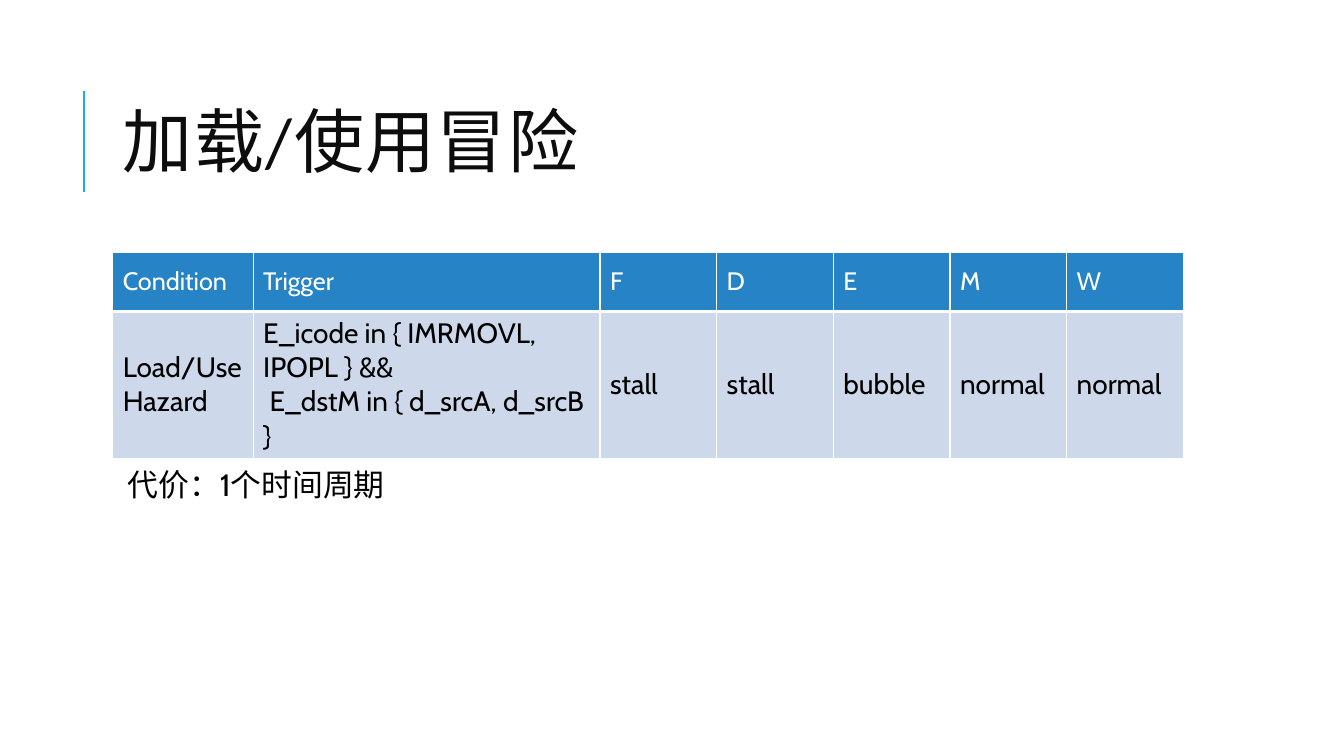
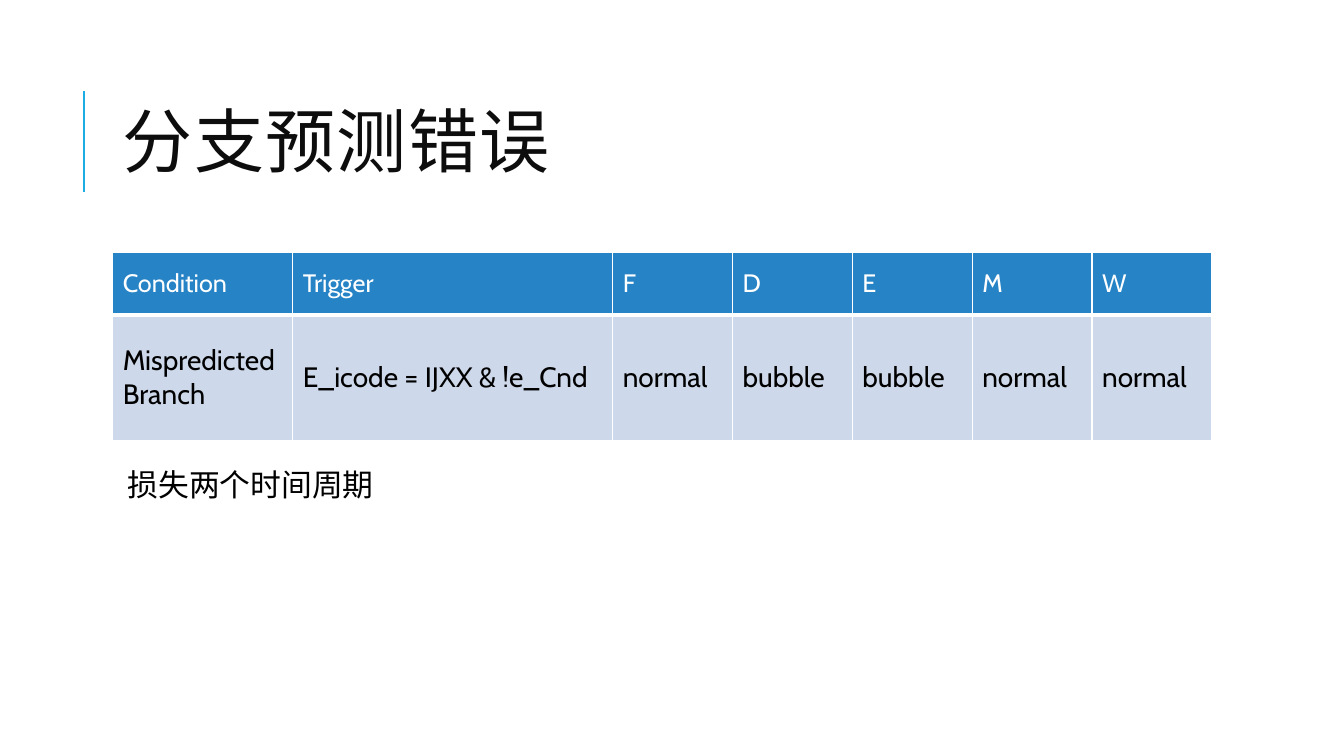
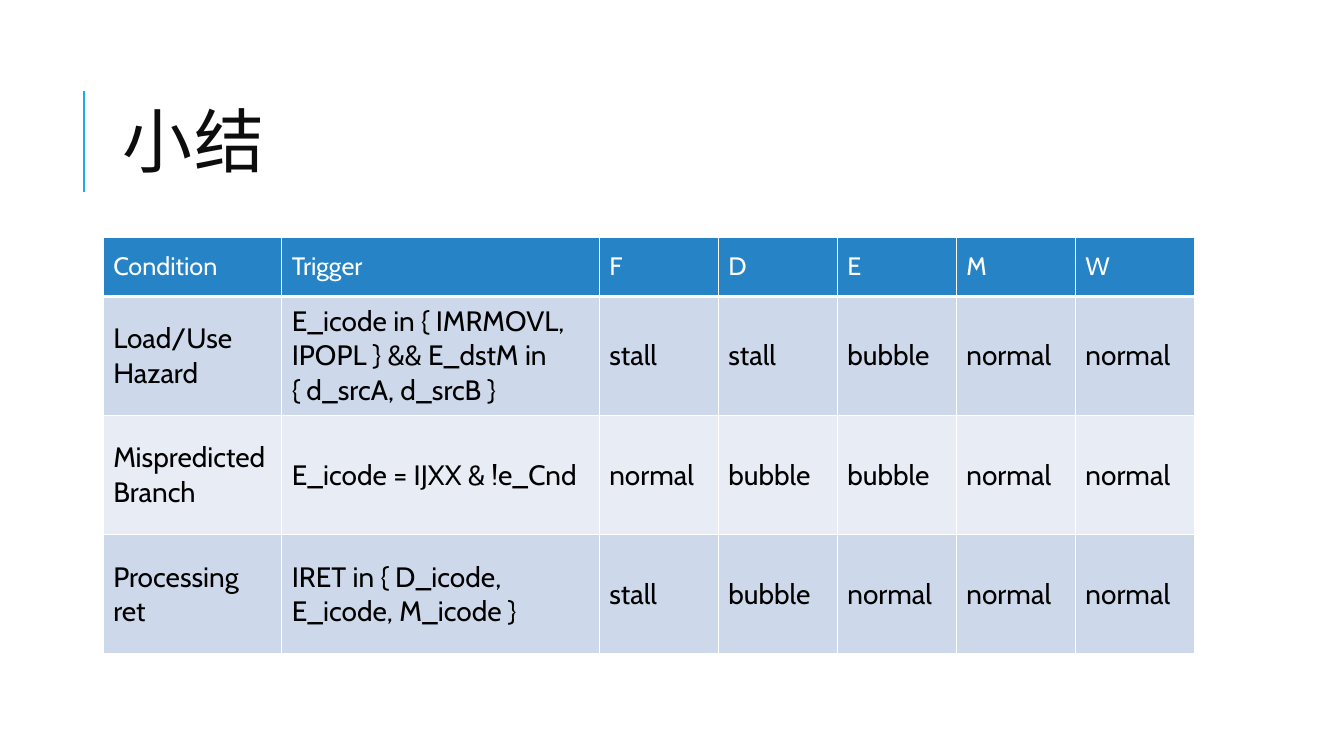
from lxml.etree import SubElement
from pptx import Presentation
from pptx.dml.color import RGBColor
from pptx.enum.lang import MSO_LANGUAGE_ID as Language
from pptx.enum.shapes import MSO_CONNECTOR as Connector
from pptx.enum.text import MSO_ANCHOR as Anchor, MSO_AUTO_SIZE as AutoSize, PP_ALIGN as Align
from pptx.oxml.ns import qn
from pptx.util import Cm, Pt

WHITE = RGBColor(0xFF, 0xFF, 0xFF)
BLACK = RGBColor(0x00, 0x00, 0x00)
TITLE_INK = RGBColor(0x0D, 0x0D, 0x0D)
ACCENT = RGBColor(0x1C, 0xAD, 0xE4)
HEADER_BLUE = RGBColor(0x26, 0x83, 0xC6)
BANDS = (RGBColor(0xCD, 0xD9, 0xEA), RGBColor(0xE8, 0xED, 0xF5))

TITLE_FONT, TEXT_FONT = "Calibri", "Cabin"
LEFT, CONTENT_WIDTH = 2.84, 27
TITLE_AND_CONTENT, TITLE_ONLY = 1, 5

HEADINGS = ["Condition", "Trigger", "F", "D", "E", "M", "W"]
LOAD_STAGES = ["stall", "stall", "bubble", "normal", "normal"]
BRANCH = ["Mispredicted Branch", "E_icode = IJXX & !e_Cnd",
          "normal", "bubble", "bubble", "normal", "normal"]
RET = ["Processing ret", "IRET in { D_icode, E_icode, M_icode }",
       "stall", "bubble", "normal", "normal", "normal"]


class HazardDeck:
    """Holds the deck style and the slide being built."""

    def __init__(self):
        self.deck = Presentation()
        self.deck.slide_width, self.deck.slide_height = Cm(33.87), Cm(19.05)
        self.slide = None

    def start(self, heading, layout):
        """Add a slide with its accent rule and title."""
        self.slide = self.deck.slides.add_slide(self.deck.slide_layouts[layout])
        self.rule()
        title = self.slide.shapes.title
        paragraph = self.placeholder(title, heading, 1.63, 4.17, TITLE_FONT, 50, TITLE_INK)
        paragraph.line_spacing = 0.8
        paragraph.runs[0]._r.get_or_add_rPr().set("spc", "100")

    def rule(self):
        """Draw the upright accent rule beside the title."""
        rule = self.slide.shapes.add_connector(
            Connector.STRAIGHT, Cm(2.12), Cm(4.83), Cm(2.12), Cm(2.29))
        rule.line.color.rgb = ACCENT
        rule.line.width = Pt(1.5)
        SubElement(rule._element.spPr, qn("a:effectLst"))

    def run(self, paragraph, text, font, size, color):
        """Add one styled run."""
        run = paragraph.add_run()
        run.text = text
        run.font.name, run.font.size, run.font.bold = font, Pt(size), False
        run.font.color.rgb = color
        return run

    def placeholder(self, holder, text, top, height, font, size, color):
        """Move a placeholder and write its single paragraph."""
        holder.left, holder.top = Cm(LEFT), Cm(top)
        holder.width, holder.height = Cm(CONTENT_WIDTH), Cm(height)
        frame = holder.text_frame
        frame.word_wrap, frame.auto_size = True, AutoSize.NONE
        frame.vertical_anchor = Anchor.MIDDLE
        paragraph = frame.paragraphs[0]
        paragraph.alignment = Align.LEFT
        paragraph.space_before = Pt(0)
        run = self.run(paragraph, text, font, size, color)
        run.font.language_id = Language.SIMPLIFIED_CHINESE
        return paragraph

    def cost(self, text):
        """Write the cycle cost below the table."""
        body = self.slide.placeholders[1]
        paragraph = self.placeholder(body, text, 11.52, 1.5, TEXT_FONT, 22, BLACK)
        paragraph.line_spacing = 0.9
        frame = body.text_frame
        frame.margin_left = frame.margin_right = Cm(0.13)
        frame.margin_top = frame.margin_bottom = Cm(0.13)
        properties = paragraph._p.get_or_add_pPr()
        properties.set("marL", str(Cm(0.25)))
        properties.set("indent", "0")
        SubElement(properties, qn("a:buNone"))

    def border(self, cell, bottom):
        """Give a cell white borders, with its own bottom weight."""
        properties = cell._tc.get_or_add_tcPr()
        for side, weight in (("L", 1), ("R", 1), ("T", 1), ("B", bottom)):
            line = SubElement(properties, qn(f"a:ln{side}"), w=str(Pt(weight)))
            SubElement(SubElement(line, qn("a:solidFill")), qn("a:srgbClr"), val=str(WHITE))

    def cell(self, cell, text, is_header, fill):
        """Fill, border and write one table cell."""
        self.border(cell, 3 if is_header else 1)
        cell.fill.solid()
        cell.fill.fore_color.rgb = fill
        cell.vertical_anchor = Anchor.MIDDLE
        size, color = (18, WHITE) if is_header else (20, BLACK)
        frame = cell.text_frame
        for index, line in enumerate(text.split("\n")):
            paragraph = frame.add_paragraph() if index else frame.paragraphs[0]
            self.run(paragraph, line, TEXT_FONT, size, color)

    def hazards(self, hazards, left, top, widths, header_height):
        """Add the hazard table; body rows are twice the header height."""
        condition, trigger, stage = widths
        columns = [condition, trigger] + [stage] * 5
        heights = [header_height] + [2 * header_height] * len(hazards)
        table = self.slide.shapes.add_table(
            len(heights), len(columns), Cm(left), Cm(top),
            Cm(sum(columns)), Cm(sum(heights))).table
        for column, width in zip(table.columns, columns):
            column.width = Cm(width)
        for number, texts in enumerate([HEADINGS] + hazards):
            table.rows[number].height = Cm(heights[number])
            fill = BANDS[(number - 1) % 2] if number else HEADER_BLUE
            for cell, text in zip(table.rows[number].cells, texts):
                self.cell(cell, text, number == 0, fill)


def main():
    """Build the three hazard slides."""
    hazard_deck = HazardDeck()

    hazard_deck.start("加载/使用冒险", TITLE_AND_CONTENT)
    hazard_deck.cost("代价：1个时间周期")
    load_trigger = "E_icode in { IMRMOVL, IPOPL } &&\n E_dstM in { d_srcA, d_srcB }"
    hazard_deck.hazards([["Load/Use Hazard", load_trigger] + LOAD_STAGES],
                        LEFT, 6.35, (3.54, 8.74, 2.94), 1.5)

    hazard_deck.start("分支预测错误", TITLE_AND_CONTENT)
    hazard_deck.cost("损失两个时间周期")
    hazard_deck.hazards([BRANCH], LEFT, 6.35, (4.54, 8.06, 3.02), 1.58)

    hazard_deck.start("小结", TITLE_ONLY)
    load = ["Load/Use Hazard", load_trigger.replace("\n", "")] + LOAD_STAGES
    hazard_deck.hazards([load, BRANCH, RET], 2.6, 5.97, (4.5, 8, 3), 1.5)

    hazard_deck.deck.save("out.pptx")


if __name__ == "__main__":
    main()
